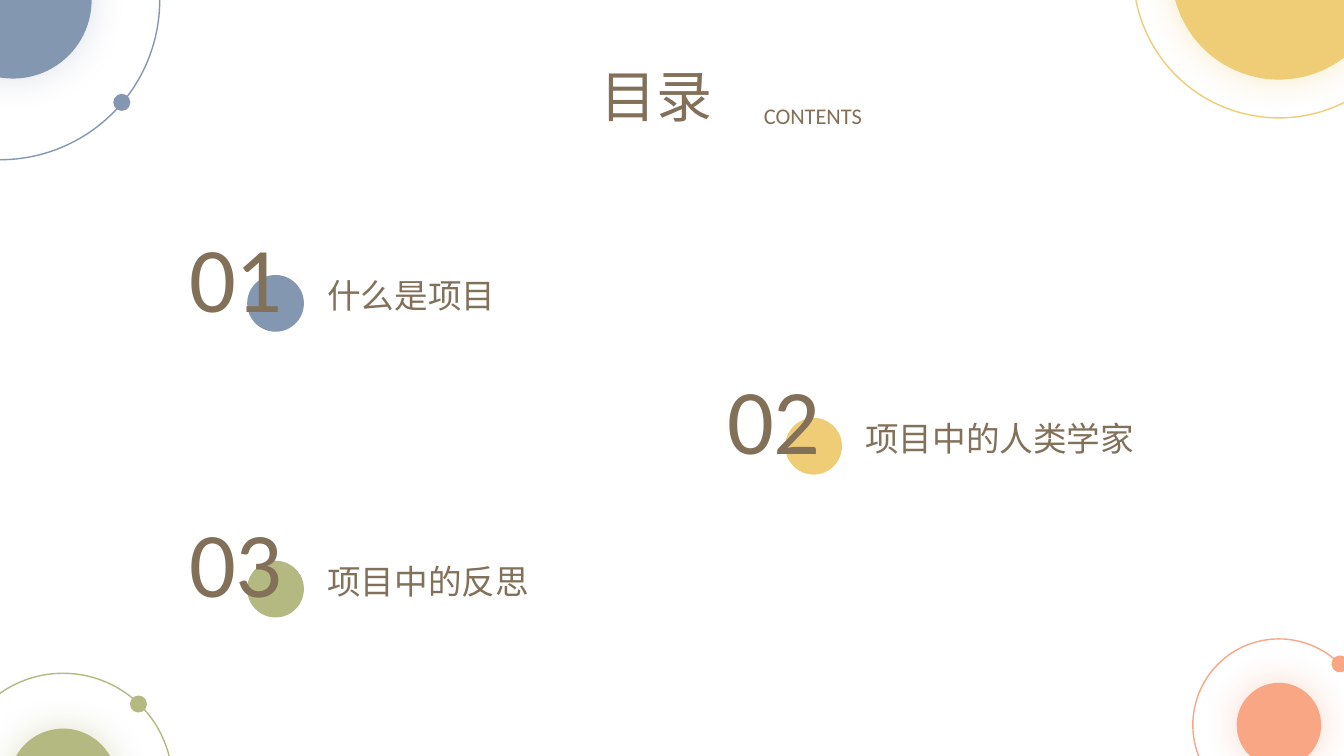
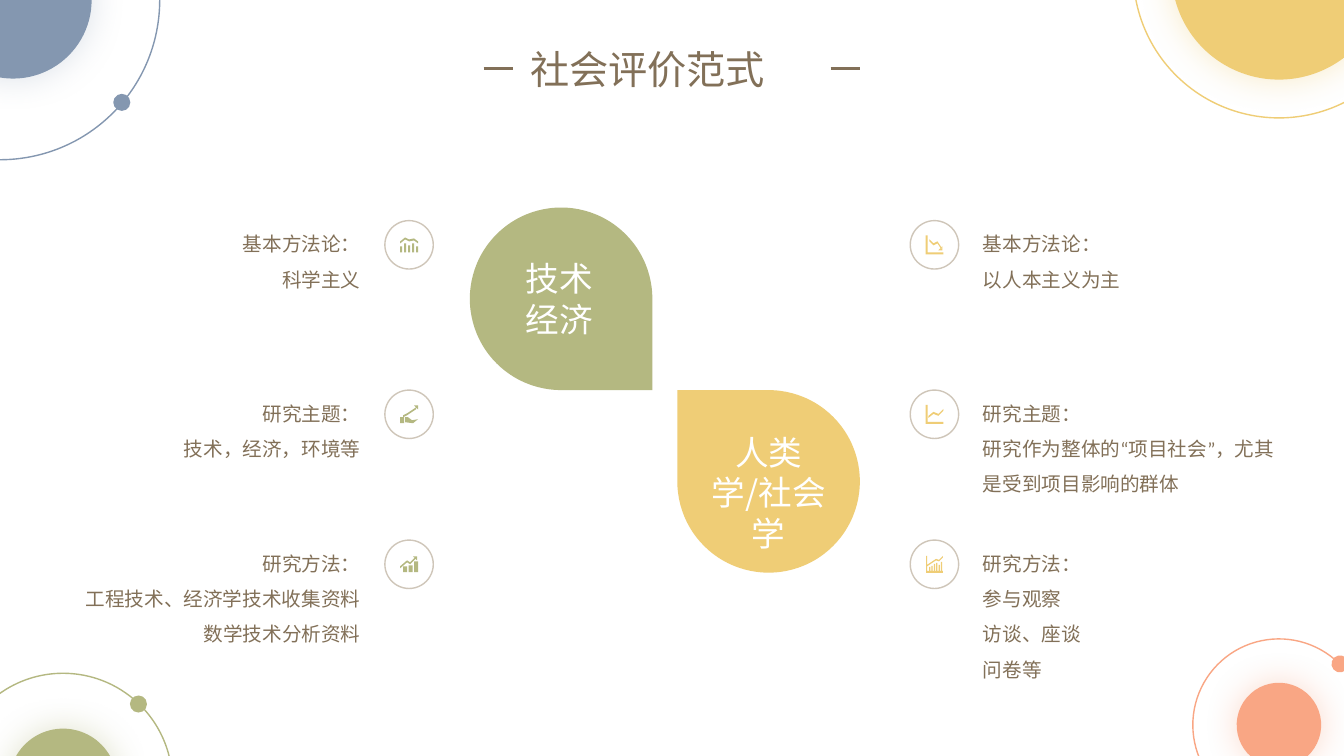
from lxml import etree
from pptx import Presentation
from pptx import util as u
from pptx.dml.color import RGBColor
from pptx.enum import lang, shapes, text
from pptx.oxml.ns import qn

COLORS = {
    "blue": "8497B0", "yellow": "EFCD76", "orange": "F9A684", "green": "B4B881",
    "brown": "827058", "ring": "CFC6B9", "white": "FFFFFF",
}
LATIN, CHINESE = "Calibri", "Noto Sans CJK SC"
LEFT, CENTER = text.PP_ALIGN.LEFT, text.PP_ALIGN.CENTER
RIGHT, JUSTIFY = text.PP_ALIGN.RIGHT, text.PP_ALIGN.JUSTIFY
OVAL, TEARDROP = shapes.MSO_SHAPE.OVAL, shapes.MSO_SHAPE.TEAR

# Corner ornaments: color, centre, core size, ring size, dot centre, rotation
ORBITS = [
    ("blue", (0, 0), 3.96, 8.05, (3.07, 2.58), 0),
    ("yellow", (32.23, -0.7), 5.41, 7.34, None, 235.7),
    ("orange", (32.23, 18.27), 2.13, 4.34, (33.77, 16.73), 18.1),
    ("green", (1.59, 19.72), 2.72, 5.51, (3.49, 17.74), 301.1),
]
CORE_SHIFT = {"blue": 0.33}


# Icon outlines on a grid of small units
UNIT = 0.025


def box(left, top, right, bottom):
    return [(left, top), (right, top), (right, bottom), (left, bottom)]


def bars(tops, left, width, pitch, base):
    return [box(left + pitch * i, top, left + pitch * i + width, base)
            for i, top in enumerate(tops)]


def trend(*points, thickness=2):
    """A zigzag band through the points."""
    return list(points) + [(x, y + thickness) for x, y in reversed(points)]


def arrow_head(x, y, down=False):
    """A small triangle with its corner at the tip of a trend."""
    return [(x, y), (x, y - 4 if down else y + 4), (x - 4, y)]


FRAME = [box(0, 0, 2, 19), box(2, 17, 18, 19)]
ICONS = {
    "columns": bars((9, 6, 8, 6, 9), 0, 2, 4, 15)
    + [trend((0, 4), (5, 0), (9, 2), (14, 1), (18, 4))],
    "hand": [box(0, 12, 4, 18), [(5, 12), (8, 12), (12, 15), (18, 14), (13, 18), (5, 17)],
             trend((3, 10), (7, 8), (10, 6), (16, 2)), arrow_head(18, 0)],
    "growth": bars((10, 9, 5), 3, 4, 5.5, 16)
    + [trend((0, 10), (7, 4), (10, 6), (15, 1)), arrow_head(17, 0)],
    "falling": FRAME + [trend((4, 4), (8, 8), (12, 6), (16, 12)),
                        arrow_head(17, 15, down=True)],
    "rising": FRAME + [trend((3, 11), (8, 7), (13, 9), (18, 4))],
    "framed": [box(0, 0, 1, 17), box(1, 15, 17, 17)]
    + bars((11, 10, 8, 7, 9, 6), 3, 1.3, 2.4, 15)
    + [trend((1, 9), (10, 3), (13, 4), (17, 0), thickness=1.5)],
}


def rgb(name):
    return RGBColor.from_string(COLORS[name])


def write(frame, content, size=14, font=LATIN, color="brown", align=LEFT, spacing=None):
    """Fill a text frame, one paragraph for each line of content."""
    for number, line in enumerate(content.split("\n")):
        paragraph = frame.paragraphs[0] if number == 0 else frame.add_paragraph()
        paragraph.alignment = align
        paragraph.line_spacing = spacing
        run = paragraph.add_run()
        run.text = line
        run.font.size = u.Pt(size)
        run.font.name = font
        run.font.color.rgb = rgb(color)
        run.font.language_id = lang.MSO_LANGUAGE_ID.SIMPLIFIED_CHINESE
        # East Asian face keeps the compact line height of the Latin one
        east_asian = etree.SubElement(run.font._element, qn("a:ea"))
        east_asian.set("typeface", LATIN)


class Deck:
    """Holds the style and the current slide."""

    def __init__(self):
        self.presentation = Presentation()
        self.presentation.slide_width = u.Cm(33.87)
        self.presentation.slide_height = u.Cm(19.05)
        self.slide = None

    def new_slide(self):
        self.slide = self.presentation.slides.add_slide(self.presentation.slide_layouts[6])
        for color, (x, y), core_size, ring_size, dot, rotation in ORBITS:
            core = (x + CORE_SHIFT.get(color, 0), y)
            glow = 28 if color == "blue" else 40
            self.disc(core, core_size, fill=color, rotation=rotation, glow=glow)
            self.disc((x, y), ring_size, line=color, rotation=rotation)
            if dot:
                self.disc(dot, 0.43, fill=color, rotation=rotation)

    def paint(self, shape, fill=None, line=None):
        shape.shadow.inherit = False
        if fill:
            shape.fill.solid()
            shape.fill.fore_color.rgb = rgb(fill)
        else:
            shape.fill.background()
        if line:
            shape.line.color.rgb = rgb(line)
            shape.line.width = u.Pt(1)
        else:
            shape.line.fill.background()

    def shape(self, kind, left, top, size, fill=None, line=None, rotation=0):
        shape = self.slide.shapes.add_shape(
            kind, u.Cm(left), u.Cm(top), u.Cm(size), u.Cm(size))
        shape.rotation = rotation
        self.paint(shape, fill, line)
        return shape

    def disc(self, centre, size, fill=None, line=None, rotation=0, glow=0):
        shape = self.shape(OVAL, centre[0] - size / 2, centre[1] - size / 2, size,
                           fill, line, rotation)
        if glow:
            effects = shape._element.spPr.find(qn("a:effectLst"))
            shadow = etree.SubElement(effects, qn("a:outerShdw"), blurRad=str(u.Pt(25)),
                                      dist="0", dir="0", algn="ctr", rotWithShape="0")
            tint = etree.SubElement(shadow, qn("a:srgbClr"), val=COLORS[fill])
            etree.SubElement(tint, qn("a:alpha"), val=str(glow * 1000))

    def text(self, content, left, top, width, height, inset=True, **style):
        shape = self.slide.shapes.add_textbox(
            u.Cm(left), u.Cm(top), u.Cm(width), u.Cm(height))
        frame = shape.text_frame
        frame.word_wrap = True
        frame.auto_size = text.MSO_AUTO_SIZE.SHAPE_TO_FIT_TEXT
        if not inset:
            frame.margin_left = frame.margin_right = 0
            frame.margin_top = frame.margin_bottom = 0
        write(frame, content, **style)

    def dash(self, left, y, width):
        line = self.slide.shapes.add_connector(
            shapes.MSO_CONNECTOR.STRAIGHT, u.Cm(left), u.Cm(y), u.Cm(left + width), u.Cm(y))
        line.line.color.rgb = rgb("brown")
        line.line.width = u.Pt(2)
        etree.SubElement(line._element.spPr, qn("a:effectLst"))

    def icon(self, name, left, top, size, color):
        """Draw an icon centred in a square."""
        outlines = ICONS[name]
        points = [point for outline in outlines for point in outline]
        width = max(x for x, y in points) * UNIT
        height = max(y for x, y in points) * UNIT
        # Ten grid steps per unit keep the fractions
        steps = [[(round(x * 10), round(y * 10)) for x, y in outline] for outline in outlines]
        builder = self.slide.shapes.build_freeform(*steps[0][0], scale=u.Cm(UNIT) / 10)
        for number, outline in enumerate(steps):
            if number:
                builder.move_to(*outline[0])
            builder.add_line_segments(outline[1:], close=True)
        shape = builder.convert_to_shape(
            u.Cm(left + (size - width) / 2), u.Cm(top + (size - height) / 2))
        self.paint(shape, color)


def contents_slide(deck):
    deck.new_slide()
    deck.text("目录", 14.88, 1.42, 4.11, 1.96, size=40, font=CHINESE, align=JUSTIFY)
    deck.text("CONTENTS", 19, 2.44, 3.07, 0.94, size=16)

    # Numbered entries, alternating left and right
    entries = [("什么是项目", 7.26, "blue"), ("项目中的人类学家", 8.36, "yellow"),
               ("项目中的反思", 7.26, "green")]
    for number, (label, width, color) in enumerate(entries):
        left = 17.45 if number % 2 else 3.89
        top = 5.41 + 3.6 * number
        deck.shape(OVAL, left + 2.34, top + 1.52, 1.43, fill=color)
        deck.text(label, left + 4.11, top + 1.4, width, 1.27, size=24, font=CHINESE)
        deck.text(f"{number + 1:02}", left, top, 4.11, 3.07, size=66, align=CENTER)


def paradigm_slide(deck):
    deck.new_slide()
    deck.text("社会评价范式", 13.11, 1.02, 7.65, 1.45, size=28, font=CHINESE, align=JUSTIFY)
    for left in (12.19, 20.93):
        deck.dash(left, 1.73, 0.74)

    # Two facing drops
    drop_size = 4.6
    deck.shape(TEARDROP, 11.84, 5.23, drop_size, fill="green", rotation=90)
    deck.shape(TEARDROP, 17.07, 5.23 + drop_size, drop_size, fill="yellow", rotation=270)
    drop_style = dict(inset=False, size=24, font=CHINESE, color="white", align=CENTER,
                      spacing=u.Pt(29))
    deck.text("技术经济", 13.11, 6.5, 1.98, 2.06, **drop_style)
    deck.text("人类学/社会学", 17.75, 10.87, 3.25, 2.06, **drop_style)

    # Points beside the drops: icon, text width, text
    row_tops = (5.56, 9.83, 13.61)
    ring_size, line_height, wide = 1.22, 0.9, 7.49
    sides = [
        ("yellow", 22.94, LEFT, [
            ("falling", wide, "基本方法论：\n以人本主义为主"),
            ("rising", wide, "研究主题：\n研究作为整体的“项目社会”，尤其是受到项目影响的群体"),
            ("framed", 3.1, "研究方法：\n参与观察\n访谈、座谈\n问卷等")]),
        ("green", 9.7, RIGHT, [
            ("columns", 3.56, "基本方法论：\n科学主义"),
            ("hand", 4.95, "研究主题：\n技术，经济，环境等"),
            ("growth", wide, "研究方法：\n工程技术、经济学技术收集资料\n数学技术分析资料")]),
    ]
    for color, ring_left, align, points in sides:
        for top, (icon, width, content) in zip(row_tops, points):
            text_left = ring_left + 1.83 if align == LEFT else ring_left - 0.61 - width
            height = line_height * (content.count("\n") + 1)
            deck.shape(OVAL, ring_left, top, ring_size, line="ring")
            deck.text(content, text_left, top, width, height, inset=False, align=align,
                      spacing=1.5)
            deck.icon(icon, ring_left, top, ring_size, color)


def main():
    deck = Deck()
    contents_slide(deck)
    paradigm_slide(deck)
    deck.presentation.save("out.pptx")


if __name__ == "__main__":
    main()
